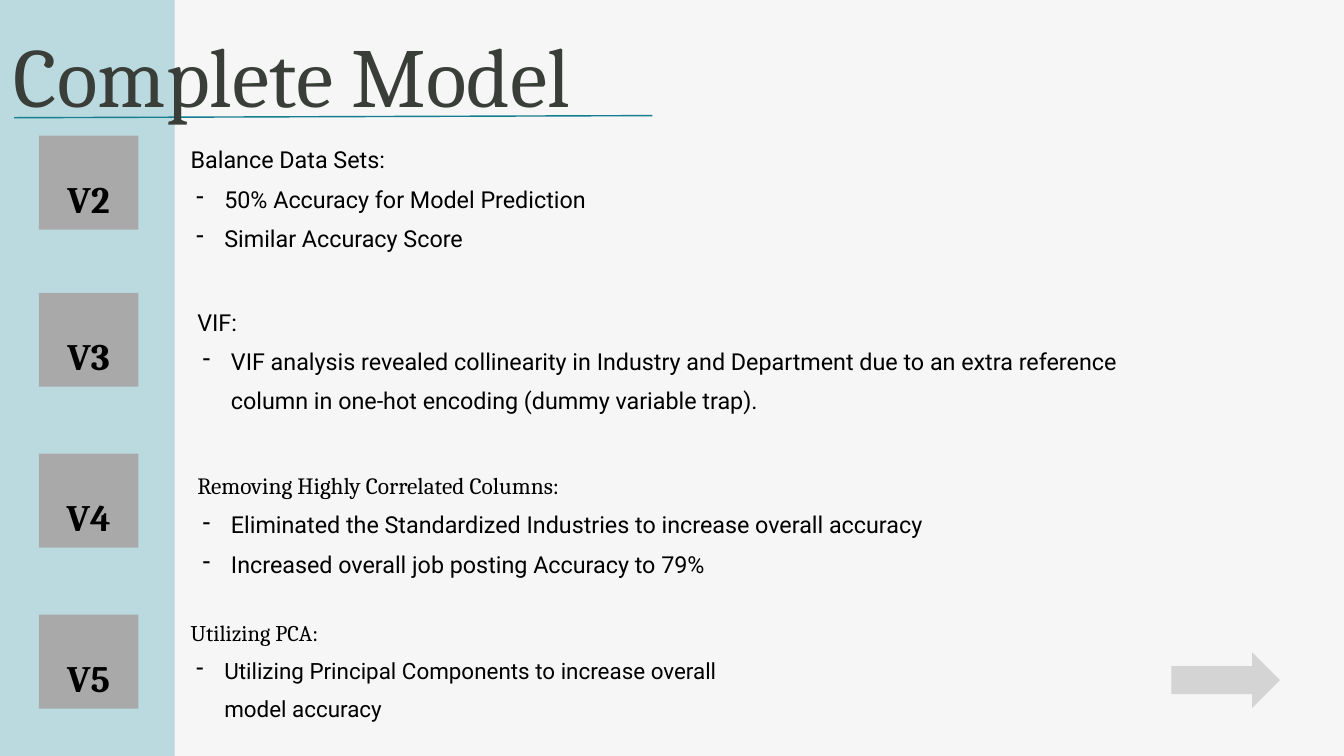
"""Build the Complete Model slide with its four model versions."""
from lxml import etree
from pptx import Presentation
from pptx.dml.color import RGBColor
from pptx.enum import shapes, text
from pptx.oxml import ns
from pptx.util import Cm, Pt

HUES = {
    "back": "F6F6F6", "side": "BBDAE0", "tile": "A9A9A9", "rule": "157E90",
    "arrow": "D4D4D4", "title": "3A3E39", "ink": "000000",
}
SERIF, SANS = "Cambria", "Roboto"
TITLE = "Complete Model"
STEPS = [
    {"tag": "V2", "tile": 5.13, "box": (5.08, 38, 4.06), "pad": 0,
     "head": "Balance Data Sets:", "font": SANS, "size": 25,
     "items": ["50% Accuracy for Model Prediction", "Similar Accuracy Score"]},
    {"tag": "V3", "tile": 11.07, "box": (10.97, 37.21, 4.57), "pad": 0.25,
     "head": "VIF:", "font": SANS, "size": 25,
     "items": ["VIF analysis revealed collinearity in Industry and Department due to "
               "an extra reference column in one-hot encoding (dummy variable trap)."]},
    {"tag": "V4", "tile": 17.15, "box": (17.15, 40, 4.57), "pad": 0.25,
     "head": "Removing Highly Correlated Columns:", "font": SERIF, "size": 25,
     "items": ["Eliminated the Standardized Industries to increase overall accuracy",
               "Increased overall job posting Accuracy to 79%"]},
    {"tag": "V5", "tile": 23.24, "box": (23.01, 22.07, 3.89), "pad": 0,
     "head": "Utilizing PCA:", "font": SERIF, "size": 24,
     "items": ["Utilizing Principal Components to increase overall model accuracy"]},
]


def hue(name):
    return RGBColor.from_string(HUES[name])


def block(slide, kind, fill, *spot):
    shape = slide.shapes.add_shape(kind, *map(Cm, spot))
    shape.shadow.inherit = False
    shape.fill.solid()
    shape.fill.fore_color.rgb = hue(fill)
    shape.line.fill.background()
    return shape


def pads(frame, left, top, right, low):
    frame.margin_left, frame.margin_top = Cm(left), Cm(top)
    frame.margin_right, frame.margin_bottom = Cm(right), Cm(low)
    frame.word_wrap = True


def field(slide, pad, *spot):
    frame = slide.shapes.add_textbox(*map(Cm, spot)).text_frame
    pads(frame, pad, pad, pad, pad)
    return frame


def style(para, font, size, space, color="ink", bold=False):
    para.line_spacing = space
    for run in para.runs:
        run.font.name, run.font.size, run.font.bold = font, Pt(size), bold
        run.font.color.rgb = hue(color)


def dash(para):
    props = para._p.get_or_add_pPr()
    props.set("marL", str(Cm(1.27)))
    props.set("indent", str(-Cm(1.07)))
    tint = etree.SubElement(props, ns.qn("a:buClr"))
    etree.SubElement(tint, ns.qn("a:srgbClr"), val=HUES["ink"])
    etree.SubElement(props, ns.qn("a:buChar"), char="-")


def add_step(slide, step):
    tile = block(slide, shapes.MSO_SHAPE.RECTANGLE, "tile", 1.47, step["tile"], 3.76, 3.55)
    frame = tile.text_frame
    pads(frame, 0.15, 0, 0.15, 0.3)
    frame.vertical_anchor = text.MSO_ANCHOR.MIDDLE
    frame.text = step["tag"]
    para = frame.paragraphs[0]
    para.alignment = text.PP_ALIGN.CENTER
    style(para, SERIF, 40, 1.87, bold=True)

    frame = field(slide, step["pad"], 7.21, *step["box"])
    frame.text = "\n".join([step["head"], *step["items"]])
    head, *items = frame.paragraphs
    style(head, step["font"], step["size"], 1.4)
    for para in items:
        dash(para)
        style(para, SANS, step["size"], 1.4)


def main():
    deck = Presentation()
    deck.slide_width, deck.slide_height = Cm(50.8), Cm(28.58)
    slide = deck.slides.add_slide(deck.slide_layouts[6])
    slide.background.fill.solid()
    slide.background.fill.fore_color.rgb = hue("back")

    block(slide, shapes.MSO_SHAPE.RECTANGLE, "side", 0, 0, 6.6, 28.58)
    ends = map(Cm, (0.53, 4.45, 24.66, 4.37))
    rule = slide.shapes.add_connector(shapes.MSO_CONNECTOR.STRAIGHT, *ends)
    rule.line.color.rgb = hue("rule")
    rule.line.width = Pt(1.5)
    etree.SubElement(rule._element.spPr, ns.qn("a:effectLst"))
    block(slide, shapes.MSO_SHAPE.RIGHT_ARROW, "arrow", 44.28, 24.66, 4.1, 2.11)

    frame = field(slide, 0, 0.53, 0.13, 45.09, 3.86)
    frame.text = TITLE
    style(frame.paragraphs[0], SERIF, 90, 1.2, "title")
    for step in STEPS:
        add_step(slide, step)
    deck.save("out.pptx")


if __name__ == "__main__":
    main()
